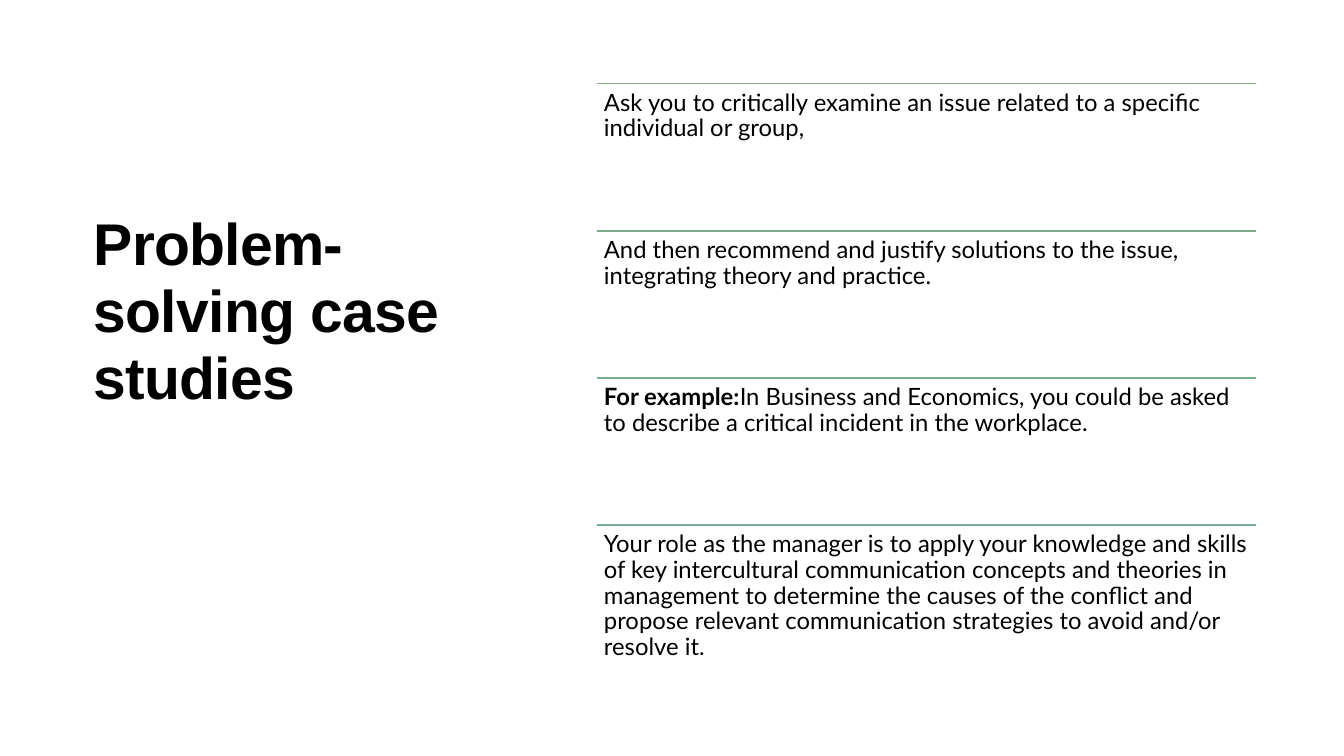
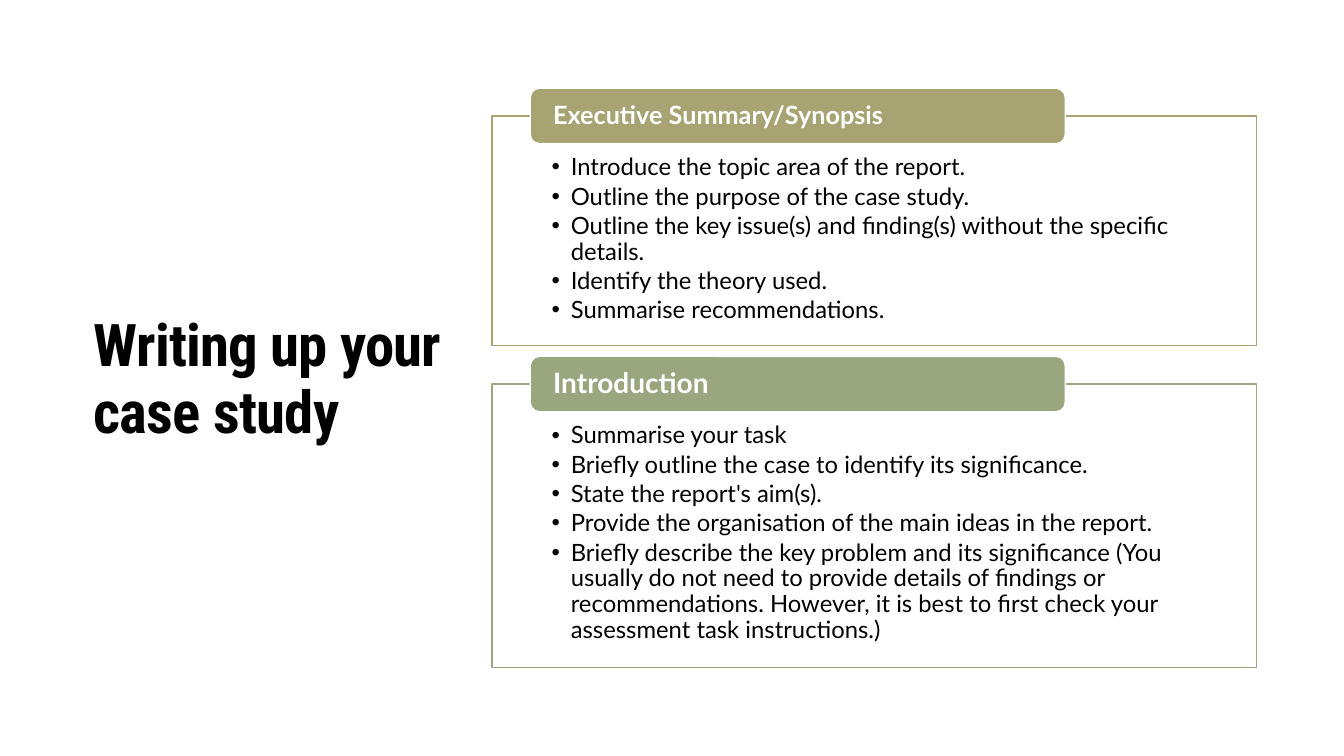
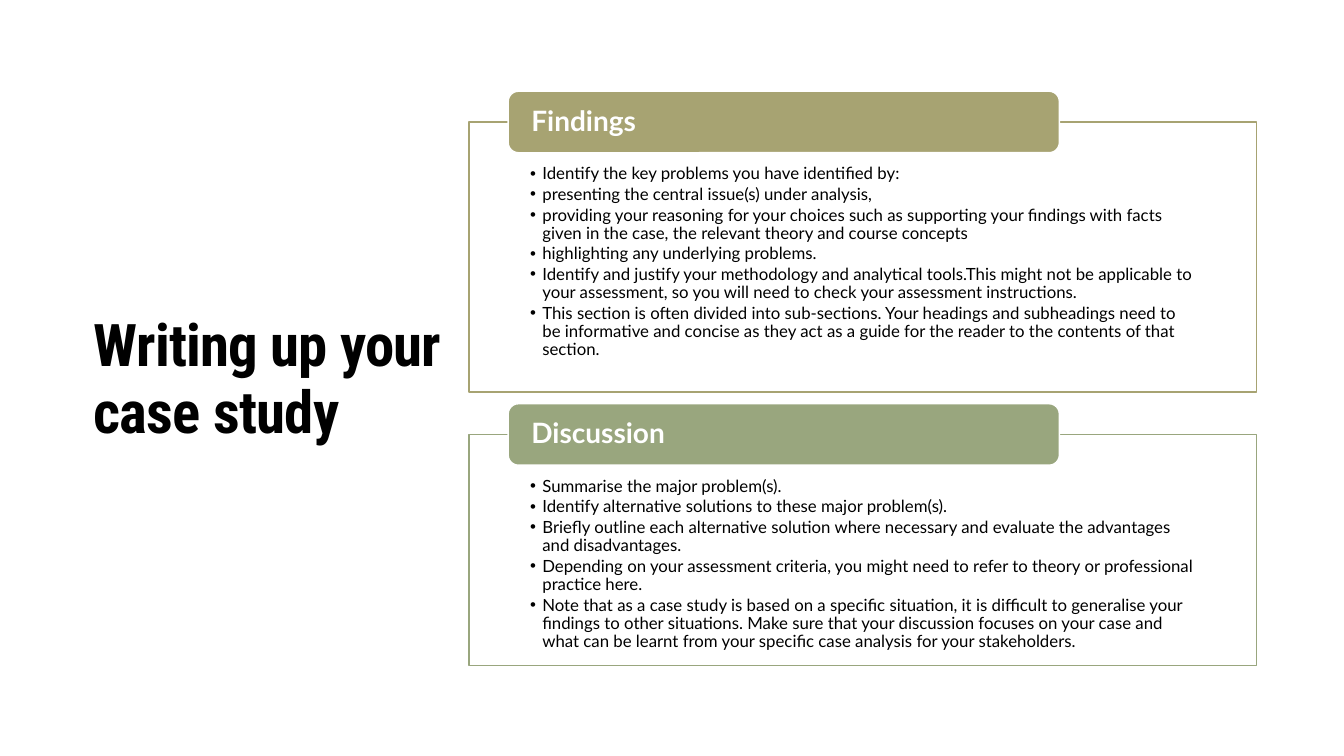
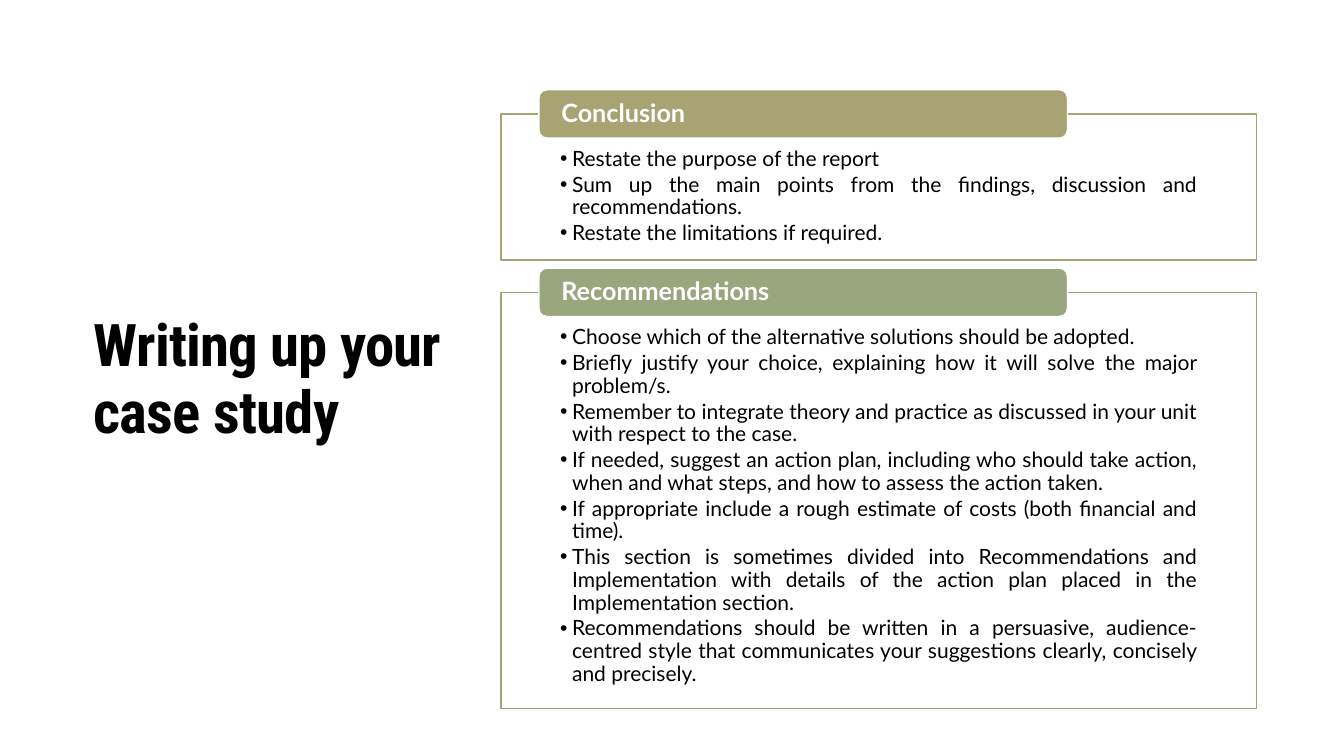
from pptx import Presentation
from pptx.dml.color import RGBColor
from pptx.enum.shapes import MSO_CONNECTOR, MSO_SHAPE
from pptx.enum.text import MSO_ANCHOR, PP_ALIGN
from pptx.oxml.ns import qn
from pptx.util import Emu, Pt
from lxml import etree

COLOURS = {
    "text": "000000", "white": "FFFFFF", "khaki": "A7A372", "sage": "99A67E",
    "rule1": "82AC88", "rule2": "7EAD8B", "rule3": "7AAD90", "rule4": "76AE96",
}
BODY_FONT = "Lato"
RIGHT_EDGE = 1246


def px(length):
    """Hundredths of an inch to EMU."""
    return Emu(round(length * 9144))


def colour(name):
    return RGBColor.from_string(COLOURS[name])


def set_frame(frame, insets, anchor=MSO_ANCHOR.TOP):
    """Insets run left, top, right, bottom."""
    frame.word_wrap = True
    frame.vertical_anchor = anchor
    (frame.margin_left, frame.margin_top,
     frame.margin_right, frame.margin_bottom) = map(px, insets)


def style(paragraph, size, font=BODY_FONT, ink="text", bold=False,
          spacing=0.9, after=0.35, align=PP_ALIGN.LEFT):
    """Space after is a share of the text size."""
    paragraph.alignment = align
    paragraph.line_spacing = spacing
    paragraph.space_after = Pt(after * size)
    paragraph.font.size = Pt(size)
    paragraph.font.name = font
    paragraph.font.bold = bold
    paragraph.font.color.rgb = colour(ink)


def add_bullet(paragraph, indent):
    properties = paragraph._p.get_or_add_pPr()
    properties.set("marL", str(px(indent)))
    properties.set("indent", str(-px(indent)))
    etree.SubElement(properties, qn("a:buFont")).set("typeface", "Arial")
    etree.SubElement(properties, qn("a:buChar")).set("char", "•")


def add_title(slide, text, font="Roboto Condensed", top=85):
    box = slide.shapes.add_textbox(px(83), px(top), px(427), px(584))
    set_frame(box.text_frame, (10, 5, 10, 5), MSO_ANCHOR.MIDDLE)
    paragraph = box.text_frame.paragraphs[0]
    paragraph.text = text
    style(paragraph, 42, font, bold=True, spacing=0.95, after=0)
    paragraph.font._rPr.set("spc", "-50")


def add_rule(slide, left, top, ink):
    rule = slide.shapes.add_connector(
        MSO_CONNECTOR.STRAIGHT, px(left), px(top), px(RIGHT_EDGE), px(top))
    rule.line.color.rgb = colour(ink)
    rule.line.width = Pt(1)
    etree.SubElement(rule._element.spPr, qn("a:effectLst"))


def add_ruled_text(slide, top, height, ink, lead, text):
    """A paragraph under a rule, opened by an optional bold lead."""
    left = 592
    add_rule(slide, left, top, ink)
    box = slide.shapes.add_textbox(
        px(left), px(top), px(RIGHT_EDGE - left), px(height))
    set_frame(box.text_frame, (7, 7, 7, 7))
    paragraph = box.text_frame.paragraphs[0]
    if lead:
        lead_run = paragraph.add_run()
        lead_run.text = lead
        lead_run.font.bold = True
    paragraph.add_run().text = text
    style(paragraph, 17)


def add_block(slide, preset, left, top, width, height, fill, line):
    block = slide.shapes.add_shape(
        preset, px(left), px(top), px(width), px(height))
    block.shadow.inherit = False
    block.fill.solid()
    block.fill.fore_color.rgb = colour(fill)
    block.line.color.rgb = colour(line)
    block.line.width = Pt(1)
    return block


def add_section(slide, layout, ink, top, height, heading, heading_size, points):
    """An outlined list with a heading tab straddling its top edge."""
    left, align = layout["left"], layout["align"]
    width = RIGHT_EDGE - left
    panel = add_block(slide, MSO_SHAPE.RECTANGLE, left, top, width, height,
                      "white", ink)
    side, (inset_top, inset_bottom) = width * 0.078, layout["insets"]
    set_frame(panel.text_frame, (side, inset_top, side, inset_bottom))
    for number, point in enumerate(points):
        paragraph = (panel.text_frame.add_paragraph() if number
                     else panel.text_frame.paragraphs[0])
        paragraph.text = point
        add_bullet(paragraph, layout["indent"])
        style(paragraph, layout["size"], after=0.15, align=align)

    tab_height = layout["tab"]
    tab = add_block(slide, MSO_SHAPE.ROUNDED_RECTANGLE, left + width * 0.05,
                    top - tab_height / 2, width * 0.7, tab_height, ink, "white")
    set_frame(tab.text_frame, (20, 0, 20, 0), MSO_ANCHOR.MIDDLE)
    paragraph = tab.text_frame.paragraphs[0]
    paragraph.text = heading
    style(paragraph, heading_size, ink="white", bold=True, align=align)


PROBLEM_SOLVING = [
    ("", "Ask you to critically examine an issue related to a specific individual or group,"),
    ("", "And then recommend and justify solutions to the issue, integrating theory and practice."),
    ("For example:", "In Business and Economics, you could be asked to describe a critical "
     "incident in the workplace."),
    ("", "Your role as the manager is to apply your knowledge and skills of key intercultural "
     "communication concepts and theories in management to determine the causes of the conflict "
     "and propose relevant communication strategies to avoid and/or resolve it."),
]

# Each section: top, height, heading, heading size, points
WRITING_UP = [
    (dict(left=488, size=17, indent=19, insets=(39, 13), tab=55, align=PP_ALIGN.LEFT), [
        (115, 228, "Executive Summary/Synopsis", 18, [
            "Introduce the topic area of the report.",
            "Outline the purpose of the case study.",
            "Outline the key issue(s) and finding(s) without the specific details.",
            "Identify the theory used.",
            "Summarise recommendations.",
        ]),
        (381, 281, "Introduction", 20, [
            "Summarise your task",
            "Briefly outline the case to identify its significance.",
            "State the report's aim(s).",
            "Provide the organisation of the main ideas in the report.",
            "Briefly describe the key problem and its significance (You usually do not need to "
            "provide details of findings or recommendations. However, it is best to first check "
            "your assessment task instructions.)",
        ]),
    ]),
    (dict(left=465, size=12, indent=12, insets=(43, 9), tab=61, align=PP_ALIGN.LEFT), [
        (121, 268, "Findings", 20, [
            "Identify the key problems you have identified by:",
            "presenting the central issue(s) under analysis,",
            "providing your reasoning for your choices such as supporting your findings with "
            "facts given in the case, the relevant theory and course concepts",
            "highlighting any underlying problems.",
            "Identify and justify your methodology and analytical tools.This might not be "
            "applicable to your assessment, so you will need to check your assessment "
            "instructions.",
            "This section is often divided into sub-sections. Your headings and subheadings need "
            "to be informative and concise as they act as a guide for the reader to the contents "
            "of that section.",
        ]),
        (431, 229, "Discussion", 20, [
            "Summarise the major problem(s).",
            "Identify alternative solutions to these major problem(s).",
            "Briefly outline each alternative solution where necessary and evaluate the "
            "advantages and disadvantages.",
            "Depending on your assessment criteria, you might need to refer to theory or "
            "professional practice here.",
            "Note that as a case study is based on a specific situation, it is difficult to "
            "generalise your findings to other situations. Make sure that your discussion "
            "focuses on your case and what can be learnt from your specific case analysis for "
            "your stakeholders.",
        ]),
    ]),
    (dict(left=497, size=15, indent=12, insets=(34, 12), tab=48, align=PP_ALIGN.JUSTIFY), [
        (113, 145, "Conclusion", 18, [
            "Restate the purpose of the report",
            "Sum up the main points from the findings, discussion and recommendations.",
            "Restate the limitations if required.",
        ]),
        (290, 413, "Recommendations", 18, [
            "Choose which of the alternative solutions should be adopted.",
            "Briefly justify your choice, explaining how it will solve the major problem/s.",
            "Remember to integrate theory and practice as discussed in your unit with respect to "
            "the case.",
            "If needed, suggest an action plan, including who should take action, when and what "
            "steps, and how to assess the action taken.",
            "If appropriate include a rough estimate of costs (both financial and time).",
            "This section is sometimes divided into Recommendations and Implementation with "
            "details of the action plan placed in the Implementation section.",
            "Recommendations should be written in a persuasive, audience-centred style that "
            "communicates your suggestions clearly, concisely and precisely.",
        ]),
    ]),
]


def main():
    deck = Presentation()
    deck.slide_width, deck.slide_height = px(1333), px(750)
    blank = deck.slide_layouts[6]

    slide = deck.slides.add_slide(blank)
    add_title(slide, "Problem-solving case studies", "Arial", top=18)
    row_height = 146
    for row, (lead, text) in enumerate(PROBLEM_SOLVING):
        add_ruled_text(slide, 83 + row * row_height, row_height,
                       f"rule{row + 1}", lead, text)

    for layout, sections in WRITING_UP:
        slide = deck.slides.add_slide(blank)
        add_title(slide, "Writing up your case study")
        for ink, section in zip(("khaki", "sage"), sections):
            add_section(slide, layout, ink, *section)

    deck.save("out.pptx")


if __name__ == "__main__":
    main()
